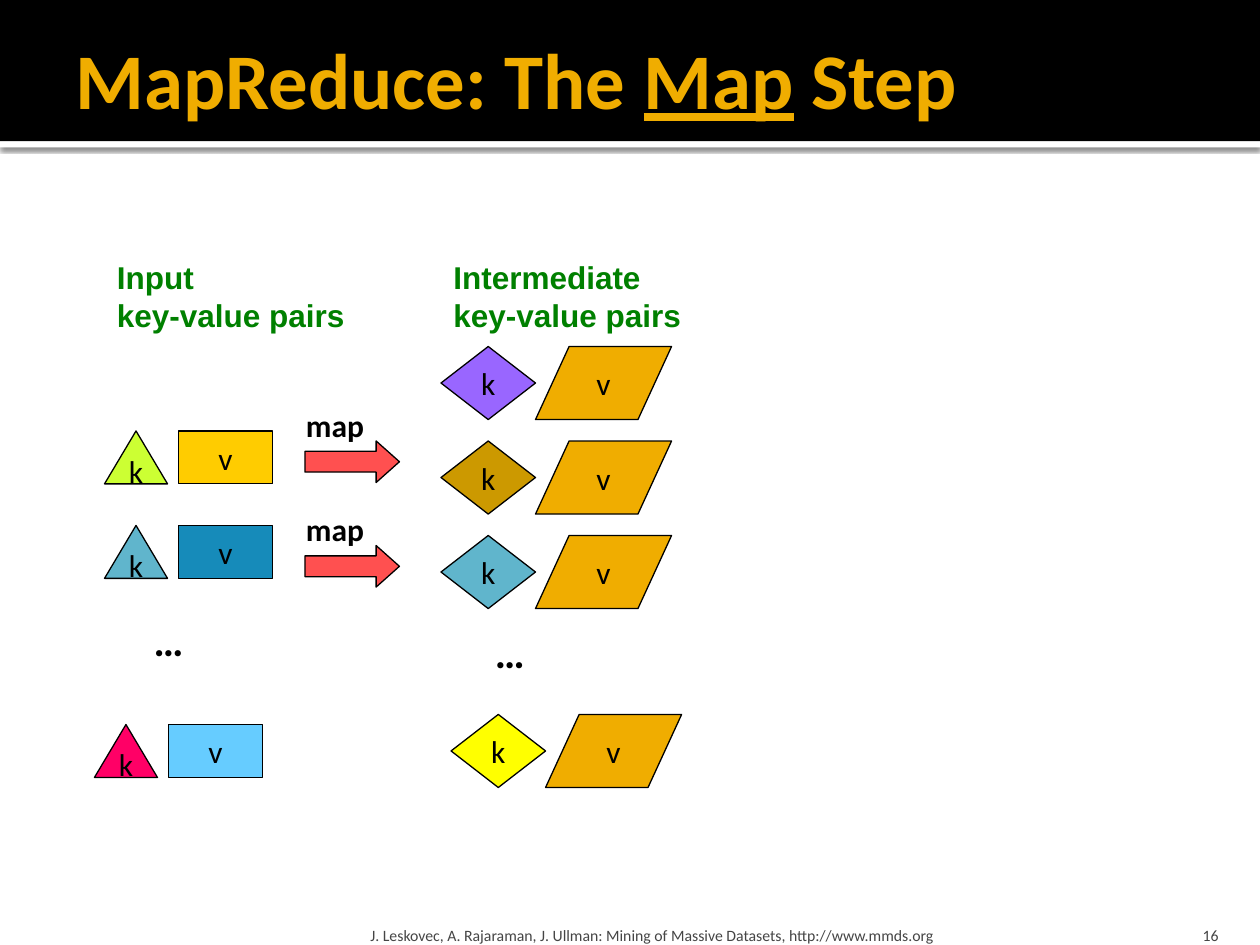
from lxml import etree
from pptx import Presentation
from pptx.dml.color import RGBColor
from pptx.enum.shapes import MSO_SHAPE as Shape
from pptx.enum.text import MSO_ANCHOR as Anchor, MSO_AUTO_SIZE as AutoSize, PP_ALIGN as Align
from pptx.oxml import parse_xml
from pptx.util import Inches, Pt

COLOURS = {
    "black": "000000", "white": "FFFFFF", "amber": "F0AD00", "green": "008000",
    "grey": "454545", "red": "FF5050", "lime": "CCFF33", "gold": "FFCC00",
    "teal": "60B5CC", "blue": "168BBA", "pink": "FF0066", "sky": "66CCFF",
    "violet": "9966FF", "ochre": "CC9900", "yellow": "FFFF00",
}

# Content
TITLE = [("MapReduce: The ", False), ("Map", True), (" Step", False)]
HEADINGS = [(0.83, ["Input", "key-value pairs"]),
            (3.5, ["Intermediate", "key-value pairs"])]
INPUT_PAIRS = [  # left, top, key colour, value colour
    (0.83, 3.42, "lime", "gold"),
    (0.83, 4.17, "teal", "blue"),
    (0.75, 5.75, "pink", "sky"),
]
INTERMEDIATE_PAIRS = [
    (3.5, 2.75, "violet", "amber"),
    (3.5, 3.5, "ochre", "amber"),
    (3.5, 4.25, "teal", "amber"),
    (3.58, 5.67, "yellow", "amber"),
]
MAP_TOPS = [3.17, 4.0]
ELLIPSES = [(1.12, 4.83), (3.83, 4.92)]
FOOTER = "J. Leskovec, A. Rajaraman, J. Ullman: Mining of Massive Datasets, http://www.mmds.org"
PAGE_NUMBER = "16"

# Kinds of pair: key shape and size, value shape and size, gap, value adjustment
INPUT_STYLE = (Shape.ISOSCELES_TRIANGLE, 0.5, Shape.RECTANGLE, 0.75, 0.42, 0.085, None)
INTERMEDIATE_STYLE = (Shape.DIAMOND, 0.75, Shape.PARALLELOGRAM, 1.08, 0.58, 0, 0.46)

SHADOW = (
    '<a:effectLst xmlns:a="http://schemas.openxmlformats.org/drawingml/2006/main">'
    '<a:outerShdw blurRad="31750" dist="10160" dir="5400000" algn="tl" rotWithShape="0">'
    '<a:srgbClr val="000000"><a:alpha val="60000"/></a:srgbClr>'
    '</a:outerShdw></a:effectLst>'
)


def rgb(name):
    return RGBColor.from_string(COLOURS[name])


def set_font(span, colour, **values):
    for name, value in values.items():
        setattr(span.font, name, value)
    span.font.color.rgb = rgb(colour)


def set_frame(frame, **values):
    for name, value in values.items():
        setattr(frame, name, value)


def add_block(shapes, kind, at, fill, outlined=True):
    block = shapes.add_shape(kind, *map(Inches, at))
    block.shadow.inherit = False
    block.fill.solid()
    block.fill.fore_color.rgb = rgb(fill)
    if outlined:
        block.line.color.rgb = rgb("black")
        block.line.width = Pt(0.75)
    else:
        block.line.fill.background()
    return block


def add_letter(block, letter):
    set_frame(block.text_frame, word_wrap=False, vertical_anchor=Anchor.MIDDLE)
    para = block.text_frame.paragraphs[0]
    para.alignment = Align.CENTER
    span = para.add_run()
    span.text = letter
    set_font(span, "black", name="Calibri", size=Pt(18))


def add_label(shapes, at, lines, colour="black", face="Calibri", size=18, bold=True,
              align=Align.LEFT, **frame_values):
    box = shapes.add_textbox(*map(Inches, at))
    frame = box.text_frame
    set_frame(frame, **{"word_wrap": False, **frame_values})
    for index, line in enumerate(lines):
        para = frame.add_paragraph() if index else frame.paragraphs[0]
        para.alignment = align
        span = para.add_run()
        span.text = line
        set_font(span, colour, name=face, size=Pt(size), bold=bold)


def add_pair(page, pair, style):
    left, top, key_fill, value_fill = pair
    key_kind, key_width, value_kind, value_width, height, gap, slant = style
    group = page.shapes.add_group_shape()
    key = add_block(group.shapes, key_kind, (left, top, key_width, height), key_fill)
    value_left = left + key_width + gap
    value = add_block(group.shapes, value_kind, (value_left, top, value_width, height), value_fill)
    if slant:
        value.adjustments[0] = slant
    add_letter(key, "k")
    add_letter(value, "v")


def add_title(page):
    title = page.shapes.title
    place = dict(left=0.5, top=0.08, width=9, height=1.08)
    for name, value in place.items():
        setattr(title, name, Inches(value))
    frame = title.text_frame
    set_frame(frame, word_wrap=True, auto_size=AutoSize.NONE, vertical_anchor=Anchor.MIDDLE,
              margin_left=Inches(0.1), margin_right=Inches(0.05),
              margin_top=Inches(0.05), margin_bottom=Inches(0.05))
    para = frame.paragraphs[0]
    para.alignment = Align.LEFT
    for text, underline in TITLE:
        span = para.add_run()
        span.text = text
        set_font(span, "amber", name="Calibri", size=Pt(45), bold=True, underline=underline)


def main():
    deck = Presentation()
    deck.slide_width, deck.slide_height = Inches(10), Inches(7.5)
    page = deck.slides.add_slide(deck.slide_layouts[5])
    shapes = page.shapes

    # Header band and its shadowed rule, behind the title
    rule = add_block(shapes, Shape.RECTANGLE, (0, 1.12, 10, 0.05), "white", outlined=False)
    properties = rule.element.spPr
    for effects in properties.findall("{*}effectLst"):
        properties.remove(effects)
    properties.append(parse_xml(SHADOW))
    add_block(shapes, Shape.RECTANGLE, (0, 0, 10, 1.12), "black", outlined=False)
    add_title(page)
    rule.element.getparent().append(shapes.title.element)

    # Key-value pairs
    for pair in INPUT_PAIRS:
        add_pair(page, pair, INPUT_STYLE)
    for pair in INTERMEDIATE_PAIRS:
        add_pair(page, pair, INTERMEDIATE_STYLE)

    # Map arrows
    for top in MAP_TOPS:
        group = shapes.add_group_shape()
        arrow = add_block(group.shapes, Shape.RIGHT_ARROW, (2.42, top + 0.33, 0.75, 0.33), "red")
        arrow.adjustments[1] = 0.56
        add_label(group.shapes, (2.33, top, 0.69, 0.4), ["map"])

    # Headings and ellipses
    for left, lines in HEADINGS:
        add_label(shapes, (left, 2, 2.03, 0.71), lines, "green", "Arial")
    for left, top in ELLIPSES:
        add_label(shapes, (left, top, 0.55, 0.5), ["…"], size=24)

    # Footer and page number
    small = dict(colour="grey", size=9, bold=False, word_wrap=True,
                 vertical_anchor=Anchor.BOTTOM, margin_bottom=0)
    add_label(shapes, (2.89, 7.2, 6.02, 0.3), [FOOTER],
              margin_left=Inches(0.05), margin_right=Inches(0.05), **small)
    add_label(shapes, (8.97, 7.2, 0.8, 0.3), [PAGE_NUMBER], align=Align.RIGHT, **small)

    deck.save("out.pptx")


if __name__ == "__main__":
    main()
